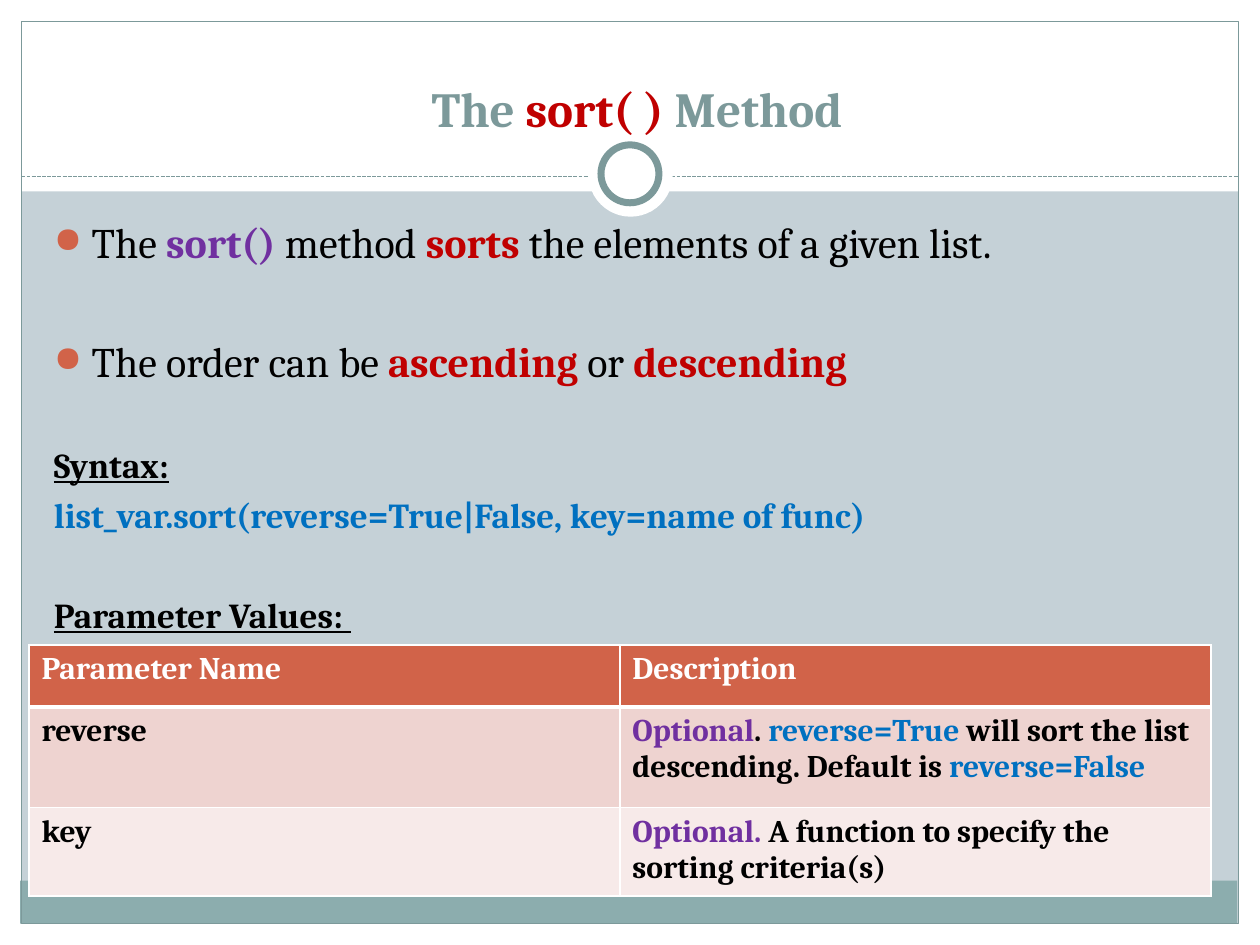
from dataclasses import dataclass

from lxml.etree import SubElement
from pptx import Presentation
from pptx.dml.color import RGBColor as RGB
from pptx.enum.dml import MSO_LINE_DASH_STYLE as Dash
from pptx.enum.shapes import MSO_CONNECTOR as Connector, MSO_SHAPE as Shape
from pptx.enum.text import MSO_ANCHOR as Anchor, PP_ALIGN as Align
from pptx.oxml.ns import qn
from pptx.util import Inches, Pt


@dataclass(frozen=True)
class Theme:
    font: str = "Cambria"
    backdrop: str = "C5D1D7"
    white: str = "FFFFFF"
    black: str = "000000"
    slate: str = "7C999A"
    footer: str = "8CADAE"
    accent: str = "D16349"
    red: str = "C00000"
    purple: str = "7030A0"
    blue: str = "0070C0"
    band_dark: str = "EED3D0"
    band_light: str = "F7EAE9"
    title_size: int = 28
    point_size: int = 24
    syntax_size: int = 20
    table_size: int = 18


THEME = Theme()


class SlideBuilder:
    def __init__(self, slide, theme):
        self.slide = slide
        self.theme = theme
        background = slide.background.fill
        background.solid()
        background.fore_color.rgb = RGB.from_string(theme.backdrop)

    def shape(self, kind, box, fill=None, line=None, weight=0.75):
        shape = self.slide.shapes.add_shape(kind, *map(Inches, box))
        shape.shadow.inherit = False
        if fill:
            shape.fill.solid()
            shape.fill.fore_color.rgb = RGB.from_string(fill)
        else:
            shape.fill.background()
        if line:
            shape.line.color.rgb = RGB.from_string(line)
            shape.line.width = Pt(weight)
        else:
            shape.line.fill.background()

    def dashed_rule(self, left, right, y):
        rule = self.slide.shapes.add_connector(
            Connector.STRAIGHT, Inches(left), Inches(y), Inches(right), Inches(y))
        rule.line.color.rgb = RGB.from_string(self.theme.slate)
        rule.line.width = Pt(0.75)
        rule.line.dash_style = Dash.SQUARE_DOT
        SubElement(rule._element.spPr, qn("a:effectLst"))

    def text_box(self, box, anchor=Anchor.TOP):
        frame = self.slide.shapes.add_textbox(*map(Inches, box)).text_frame
        frame.word_wrap = True
        frame.vertical_anchor = anchor
        return frame

    def add_runs(self, paragraph, pieces, size, underline=False):
        for words, color, bold in pieces:
            run = paragraph.add_run()
            run.text = words
            run.font.name = self.theme.font
            run.font.size = Pt(size)
            run.font.bold = bold
            run.font.underline = underline
            run.font.color.rgb = RGB.from_string(color)

    def bullet(self, paragraph):
        props = paragraph._p.get_or_add_pPr()
        color = SubElement(props, qn("a:buClr"))
        SubElement(color, qn("a:srgbClr"), val=self.theme.accent)
        SubElement(props, qn("a:buSzPct"), val="85000")
        SubElement(props, qn("a:buChar"), char="●")

    def title(self, box, pieces):
        paragraph = self.text_box(box, Anchor.BOTTOM).paragraphs[0]
        paragraph.alignment = Align.CENTER
        self.add_runs(paragraph, pieces, self.theme.title_size)

    def body(self, box, entries):
        frame = self.text_box(box)
        for index, (pieces, size, gap, bulleted, underline) in enumerate(entries):
            paragraph = frame.add_paragraph() if index else frame.paragraphs[0]
            props = paragraph._p.get_or_add_pPr()
            props.set("marL", str(Inches(0.3)))
            props.set("indent", str(Inches(-0.3)))
            if bulleted:
                self.bullet(paragraph)
            if gap:
                paragraph.space_before = Pt(gap)
            self.add_runs(paragraph, pieces, size, underline)

    def borders(self, cell, top, bottom):
        props = cell._tc.get_or_add_tcPr()
        for side, weight in (("L", 1), ("R", 1), ("T", top), ("B", bottom)):
            edge = SubElement(props, qn(f"a:ln{side}"), w=str(Pt(weight)))
            fill = SubElement(edge, qn("a:solidFill"))
            SubElement(fill, qn("a:srgbClr"), val=self.theme.white)

    def table(self, box, heights, fills, rows):
        table = self.slide.shapes.add_table(
            len(rows), len(rows[0]), *map(Inches, box)).table
        for r, (height, fill, row) in enumerate(zip(heights, fills, rows)):
            table.rows[r].height = Inches(height)
            for c, pieces in enumerate(row):
                cell = table.cell(r, c)
                self.borders(cell, top=3 if r == 1 else 1, bottom=3 if r == 0 else 1)
                cell.fill.solid()
                cell.fill.fore_color.rgb = RGB.from_string(fill)
                self.add_runs(cell.text_frame.paragraphs[0], pieces, self.theme.table_size)


def draw_frame(builder):
    t = builder.theme
    for margin in ((0, 7.33, 10, 0.17), (0, 0, 10, 1.52),
                   (0, 0, 0.17, 7.5), (9.83, 0, 0.17, 7.5)):
        builder.shape(Shape.RECTANGLE, margin, t.white)
    builder.shape(Shape.RECTANGLE, (0.16, 6.99, 9.66, 0.34), t.footer)
    builder.shape(Shape.RECTANGLE, (0.17, 0.17, 9.66, 7.16), line=t.slate)
    builder.dashed_rule(0.17, 9.83, 1.4)
    builder.shape(Shape.OVAL, (4.67, 1.05, 0.67, 0.67), t.white)
    builder.shape(Shape.OVAL, (4.77, 1.15, 0.46, 0.46), t.white, t.slate, 4)


def main():
    t = THEME
    deck = Presentation()
    deck.slide_width, deck.slide_height = Inches(10), Inches(7.5)
    builder = SlideBuilder(deck.slides.add_slide(deck.slide_layouts[6]), t)
    draw_frame(builder)

    builder.title((0.39, 0.31, 9.33, 0.83), [
        ("The ", t.slate, True), ("sort( ) ", t.red, True), ("Method", t.slate, True)])

    purpose = [("The ", t.black, False), ("sort() ", t.purple, True),
               ("method ", t.black, False), ("sorts", t.red, True),
               (" the elements of a given list.", t.black, False)]
    order = [("The order can be ", t.black, False), ("ascending", t.red, True),
             (" or ", t.black, False), ("descending", t.red, True)]
    syntax = [("list_var.sort(reverse=True|False, key=name of func)", t.blue, True)]
    builder.body((0.33, 1.67, 9.3, 5.31), [
        (purpose, t.point_size, 0, True, False),
        (order, t.point_size, 39.3, True, False),
        ([("Syntax:", t.black, True)], t.syntax_size, 32.8, False, True),
        (syntax, t.syntax_size, 4.7, False, False),
        ([("Parameter Values: ", t.black, True)], t.syntax_size, 32.8, False, True)])

    reverse = [("Optional", t.purple, True), (". ", t.black, True),
               ("reverse=True", t.blue, True),
               (" will sort the list descending. Default is ", t.black, True),
               ("reverse=False", t.blue, True)]
    key = [("Optional. ", t.purple, True),
           ("A function to specify the sorting criteria(s)", t.black, True)]
    builder.table((0.23, 5.12, 9.38, 1.85), (0.49, 0.8, 0.56),
                  (t.accent, t.band_dark, t.band_light), [
        ([("Parameter Name", t.white, True)], [("Description", t.white, True)]),
        ([("reverse", t.black, True)], reverse),
        ([("key", t.black, True)], key)])

    deck.save("out.pptx")


if __name__ == "__main__":
    main()
